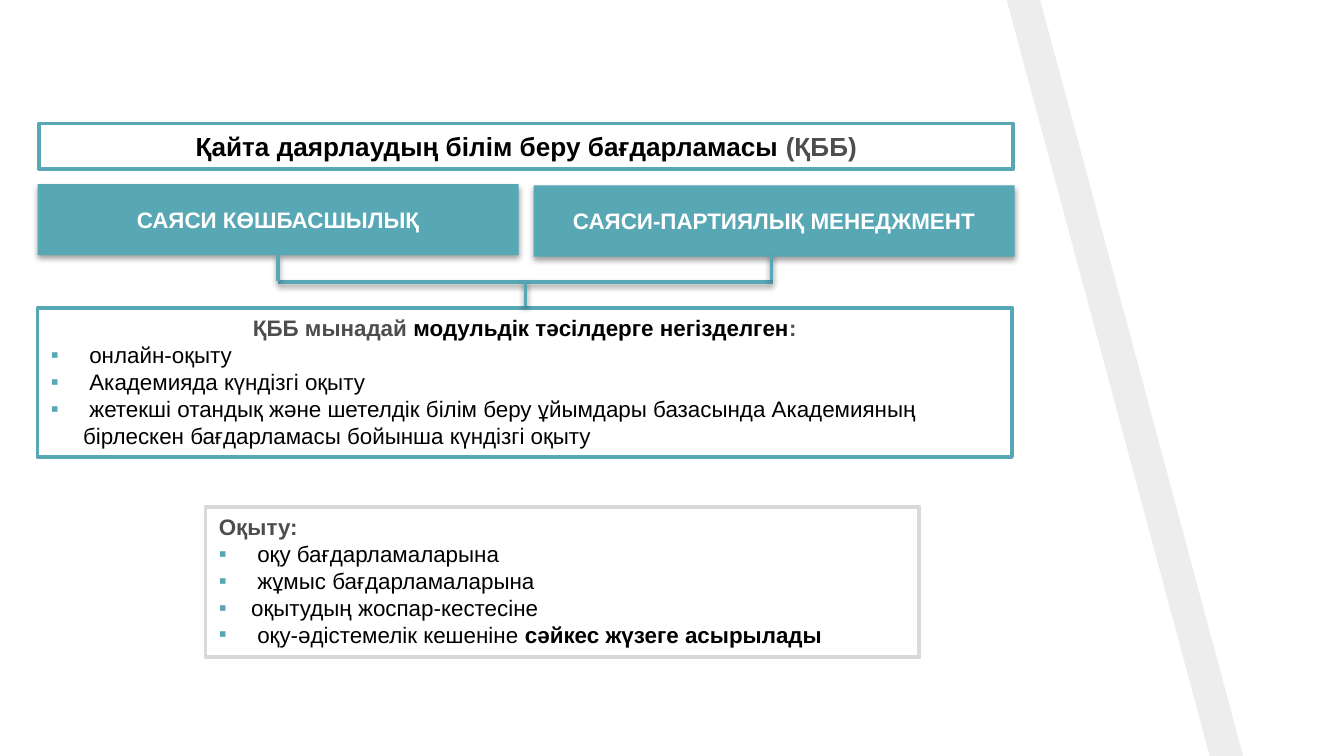
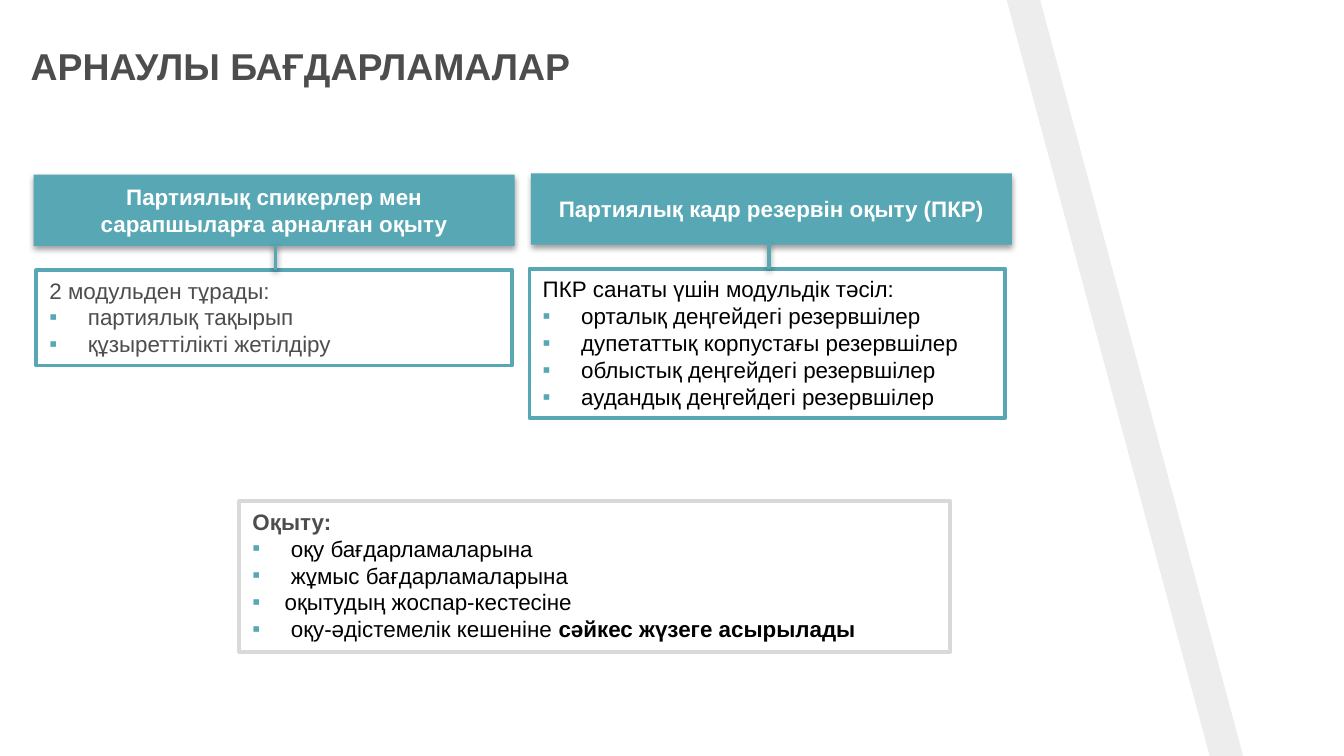
from dataclasses import dataclass
from typing import Optional

from lxml.etree import SubElement
from pptx import Presentation
from pptx.dml.color import RGBColor
from pptx.enum.shapes import MSO_CONNECTOR as Connector, MSO_SHAPE as Preset
from pptx.enum.text import MSO_ANCHOR as Anchor, PP_ALIGN as Align
from pptx.oxml.ns import qn
from pptx.util import Inches, Pt

COLORS = {
    "teal": "57A7B5",
    "gray": "4D4D4D",
    "frame": "D9D9D9",
    "black": "000000",
    "white": "FFFFFF",
}
FONT = "Arial"
PAGE_WIDTH = 10
PAGE_HEIGHT = PAGE_WIDTH * 9 / 16
HEADER_SIZE = (3.58, 0.53)
BULLET_INDENT = 0.24


@dataclass
class Span:
    text: str
    color: str = "black"
    bold: bool = False


@dataclass
class Line:
    spans: list[Span]
    bullet: bool = False
    align: Align = Align.LEFT


@dataclass
class Box:
    left: float
    top: float
    width: float
    height: float
    lines: list[Line]
    fill: str = "white"
    border: Optional[str] = "teal"
    size: int = 12
    anchor: Anchor = Anchor.TOP
    shadow: bool = False


@dataclass
class Link:
    x1: float
    y1: float
    x2: float
    y2: float


def rgb(name: str) -> RGBColor:
    return RGBColor.from_string(COLORS[name])


# Content helpers
def header(left: float, top: float, text: str) -> Box:
    line = Line([Span(text, "white", True)], align=Align.CENTER)
    return Box(left, top, *HEADER_SIZE, [line], fill="teal", border=None,
               anchor=Anchor.MIDDLE, shadow=True)


def bullets(texts: list[str], color: str = "black", align: Align = Align.LEFT) -> list[Line]:
    return [Line([Span(text, color)], True, align) for text in texts]


def training_box(left: float, top: float, width: float) -> Box:
    items = bullets([" оқу бағдарламаларына", " жұмыс бағдарламаларына",
                     "оқытудың жоспар-кестесіне", " оқу-әдістемелік кешеніне "])
    items[-1].spans.append(Span("сәйкес жүзеге асырылады", bold=True))
    heading = Line([Span("Оқыту:", "gray", True)])
    return Box(left, top, width, 1.12, [heading, *items], border="frame")


# Drawing
def add_shadow(shape) -> None:
    properties = shape.element.spPr
    effects = properties.find(qn("a:effectLst"))
    if effects is None:
        effects = SubElement(properties, qn("a:effectLst"))
    outer = SubElement(effects, qn("a:outerShdw"), blurRad=str(Pt(3.1)),
                       dist=str(Pt(1.6)), dir="5400000", rotWithShape="0")
    color = SubElement(outer, qn("a:srgbClr"), val=COLORS["black"])
    SubElement(color, qn("a:alpha"), val="38000")


def add_bullet(paragraph) -> None:
    indent = Inches(BULLET_INDENT)
    properties = paragraph._p.get_or_add_pPr()
    properties.set("marL", str(indent))
    properties.set("indent", str(-indent))
    color = SubElement(properties, qn("a:buClr"))
    SubElement(color, qn("a:srgbClr"), val=COLORS["teal"])
    SubElement(properties, qn("a:buFont"), typeface=FONT)
    SubElement(properties, qn("a:buChar"), char="▪")


def write(frame, lines: list[Line], size: int) -> None:
    frame.word_wrap = True
    for index, line in enumerate(lines):
        paragraph = frame.paragraphs[0] if index == 0 else frame.add_paragraph()
        paragraph.alignment = line.align
        if line.bullet:
            add_bullet(paragraph)
        for span in line.spans:
            run = paragraph.add_run()
            run.text = span.text
            run.font.name = FONT
            run.font.size = Pt(size)
            run.font.bold = span.bold
            run.font.color.rgb = rgb(span.color)


def draw_box(page, box: Box) -> None:
    shape = page.shapes.add_shape(Preset.RECTANGLE, Inches(box.left), Inches(box.top),
                                  Inches(box.width), Inches(box.height))
    shape.shadow.inherit = False
    shape.fill.solid()
    shape.fill.fore_color.rgb = rgb(box.fill)
    if box.border:
        shape.line.color.rgb = rgb(box.border)
        shape.line.width = Pt(2)
    else:
        shape.line.fill.background()
    if box.shadow:
        add_shadow(shape)
    shape.text_frame.vertical_anchor = box.anchor
    write(shape.text_frame, box.lines, box.size)


def draw_link(page, link: Link) -> None:
    connector = page.shapes.add_connector(Connector.STRAIGHT, Inches(link.x1), Inches(link.y1),
                                          Inches(link.x2), Inches(link.y2))
    connector.line.color.rgb = rgb("teal")
    connector.line.width = Pt(2)
    add_shadow(connector)


def draw_title(page, text: str) -> None:
    box = page.shapes.add_textbox(Inches(0.13), Inches(0.33), Inches(7.65), Inches(0.73))
    frame = box.text_frame
    frame.vertical_anchor = Anchor.BOTTOM
    frame.margin_top = 0
    frame.margin_bottom = Inches(0.48)
    write(frame, [Line([Span(text, "gray", True)])], 20)


def draw_background(page) -> None:
    """Slanted white sheet over its translucent edge."""
    for offset, color, alpha in ((0.25, "black", 7), (0, "white", 100)):
        corners = [(offset, PAGE_HEIGHT), (offset + 9, PAGE_HEIGHT), (offset + 7.49, 0)]
        builder = page.shapes.build_freeform(Inches(offset), 0)
        builder.add_line_segments([(Inches(x), Inches(y)) for x, y in corners], close=True)
        sheet = builder.convert_to_shape()
        sheet.shadow.inherit = False
        sheet.line.fill.background()
        sheet.fill.solid()
        sheet.fill.fore_color.rgb = rgb(color)
        if alpha < 100:
            fill_color = sheet.element.spPr.find(qn("a:solidFill"))[0]
            SubElement(fill_color, qn("a:alpha"), val=str(alpha * 1000))


def add_page(deck, boxes: list[Box], links: list[Link], title: str = "") -> None:
    page = deck.slides.add_slide(deck.slide_layouts[6])
    draw_background(page)
    if title:
        draw_title(page, title)
    for box in boxes:
        draw_box(page, box)
    for link in links:
        draw_link(page, link)


def main() -> None:
    deck = Presentation()
    deck.slide_width, deck.slide_height = Inches(PAGE_WIDTH), Inches(PAGE_HEIGHT)

    # Retraining programme
    programme = Line([Span("Қайта даярлаудың білім беру бағдарламасы ", bold=True),
                      Span("(ҚББ)", "gray", True)], align=Align.CENTER)
    approach = Line([Span("ҚББ мынадай ", "gray", True),
                     Span("модульдік тәсілдерге негізделген", bold=True),
                     Span(":", "gray", True)], align=Align.CENTER)
    formats = bullets([
        " онлайн-оқыту",
        " Академияда күндізгі оқыту",
        " жетекші отандық және шетелдік білім беру ұйымдары базасында Академияның "
        "бірлескен бағдарламасы бойынша күндізгі оқыту",
    ])
    add_page(
        deck,
        [
            header(0.28, 1.37, "САЯСИ КӨШБАСШЫЛЫҚ"),
            Box(0.28, 2.29, 7.25, 1.11, [approach, *formats]),
            header(3.97, 1.38, "САЯСИ-ПАРТИЯЛЫҚ МЕНЕДЖМЕНТ"),
            training_box(1.53, 3.77, 5.31),
            Box(0.29, 0.92, 7.25, 0.34, [programme], size=14),
        ],
        [
            Link(2.07, 2.1, 5.75, 2.1),
            Link(3.91, 2.09, 3.91, 2.28),
            Link(2.07, 1.9, 2.07, 2.09),
            Link(5.74, 1.89, 5.74, 2.08),
        ],
    )

    # Special programmes
    modules = [Line([Span("2 модульден тұрады:", "gray")]),
               *bullets([" партиялық тақырып", " құзыреттілікті жетілдіру"], "gray")]
    reserve = [Line([Span("ПКР санаты үшін модульдік тәсіл:")], align=Align.JUSTIFY),
               *bullets([f" {level} резервшілер" for level in (
                   "орталық деңгейдегі", "дупетаттық корпустағы",
                   "облыстық деңгейдегі", "аудандық деңгейдегі")], align=Align.JUSTIFY)]
    add_page(
        deck,
        [
            header(0.25, 1.3, "Партиялық спикерлер мен сарапшыларға арналған оқыту"),
            Box(0.27, 2.01, 3.54, 0.71, modules),
            header(3.95, 1.29, "Партиялық кадр резервін оқыту (ПКР)"),
            training_box(1.78, 3.73, 5.29),
            Box(3.94, 2, 3.54, 1.11, reserve),
        ],
        [Link(2.05, 1.82, 2.05, 2.01), Link(5.72, 1.81, 5.72, 2)],
        title="АРНАУЛЫ БАҒДАРЛАМАЛАР",
    )
    deck.save("out.pptx")


if __name__ == "__main__":
    main()
